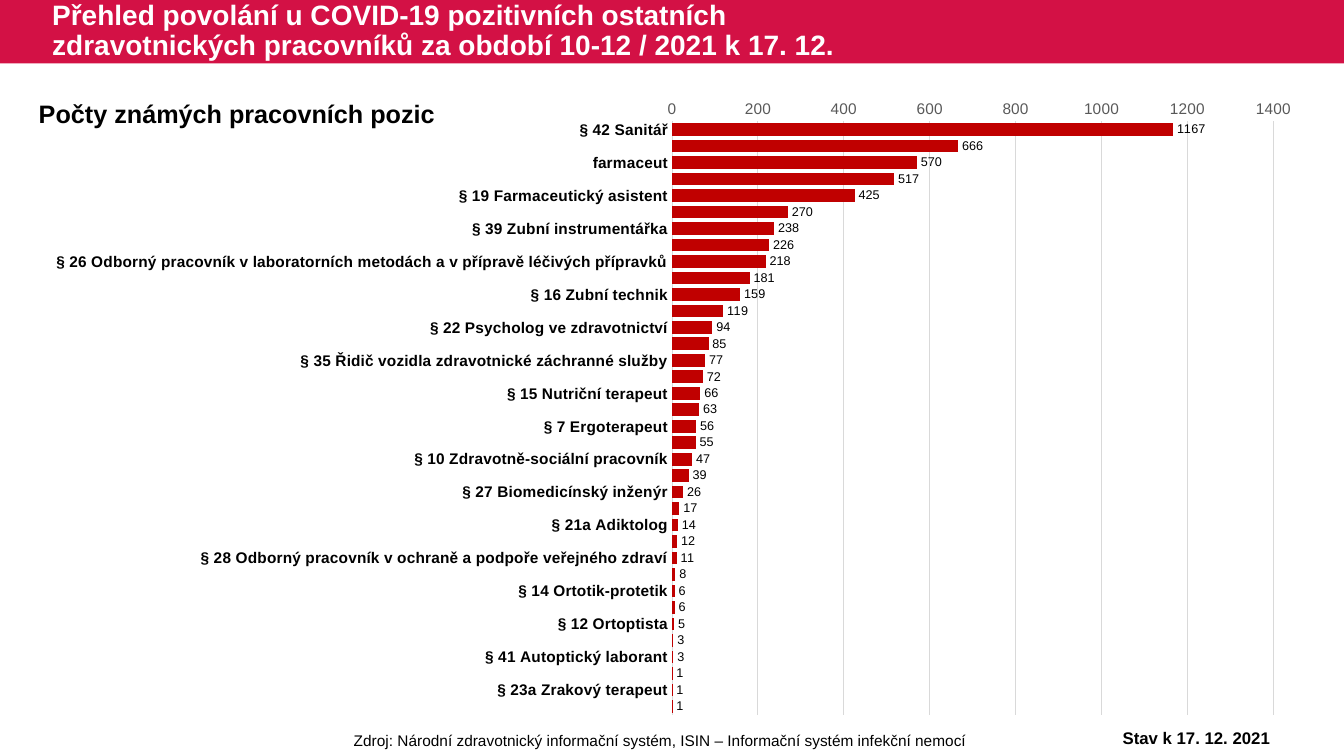
from dataclasses import dataclass

from lxml import etree
from pptx import Presentation
from pptx.chart.data import CategoryChartData
from pptx.dml.color import RGBColor
from pptx.enum.chart import XL_CHART_TYPE, XL_LABEL_POSITION, XL_TICK_MARK
from pptx.enum.shapes import MSO_SHAPE
from pptx.enum.text import MSO_ANCHOR, MSO_AUTO_SIZE, PP_ALIGN
from pptx.util import Pt

BARS = XL_CHART_TYPE.BAR_CLUSTERED
OUTSIDE = XL_LABEL_POSITION.OUTSIDE_END
NO_TICK = XL_TICK_MARK.NONE
RECT = MSO_SHAPE.RECTANGLE
MIDDLE, TOP = MSO_ANCHOR.MIDDLE, MSO_ANCHOR.TOP
GROW, FIXED = MSO_AUTO_SIZE.SHAPE_TO_FIT_TEXT, MSO_AUTO_SIZE.NONE
LEFT, CENTER = PP_ALIGN.LEFT, PP_ALIGN.CENTER

FONT = "Arial"
COLORS = {"band": "D31145", "bar": "C00000", "grid": "D9D9D9",
          "text": "000000", "scale": "595959", "title": "FFFFFF"}

JOBS = [
    ("§ 42 Sanitář", 1167),
    ("§ 24 Fyzioterapeut", 666),
    ("farmaceut", 570),
    ("§ 9 Zdravotní laborant", 517),
    ("§ 19 Farmaceutický asistent", 425),
    ("§ 36 Ošetřovatel", 270),
    ("§ 39 Zubní instrumentářka", 238),
    ("§ 18 Zdravotnický záchranář", 226),
    ("§ 26 Odborný pracovník v laboratorních metodách a v přípravě léčivých přípravků", 218),
    ("§ 8 Radiologický asistent", 181),
    ("§ 16 Zubní technik", 159),
    ("§ 40 Řidič zdravotnické dopravní služby", 119),
    ("§ 22 Psycholog ve zdravotnictví", 94),
    ("§ 17 Dentální hygienistka", 85),
    ("§ 35 Řidič vozidla zdravotnické záchranné služby", 77),
    ("§ 37 Masér ve zdravotnictví, nevidomý a slabozraký masér ve zdravotnictví", 72),
    ("§ 15 Nutriční terapeut", 66),
    ("§ 23 Logoped ve zdravotnictví", 63),
    ("§ 7 Ergoterapeut", 56),
    ("§ 11 Optometrista", 55),
    ("§ 10 Zdravotně-sociální pracovník", 47),
    ("§ 30 Laboratorní asistent", 39),
    ("§ 27 Biomedicínský inženýr", 26),
    ("§ 33 Asistent zubního technika", 17),
    ("§ 21a Adiktolog", 14),
    ("§ 25 Radiologický fyzik", 12),
    ("§ 28 Odborný pracovník v ochraně a podpoře veřejného zdraví", 11),
    ("§ 13 Asistent ochrany a podpory veřejného zdraví", 8),
    ("§ 14 Ortotik-protetik", 6),
    ("§ 20 Biomedicínský technik", 6),
    ("§ 12 Ortoptista", 5),
    ("§ 32 Nutriční asistent", 3),
    ("§ 41 Autoptický laborant", 3),
    ("§ 21 Radiologický technik", 1),
    ("§ 23a Zrakový terapeut", 1),
    ("§ 31 Ortoticko-protetický technik", 1),
]


@dataclass
class Label:
    text: str
    box: tuple
    size: int
    bold: bool = True
    color: str = "text"
    align: PP_ALIGN = LEFT
    anchor: MSO_ANCHOR = TOP
    fit: MSO_AUTO_SIZE = GROW
    wrap: bool = True
    space: float = 1.0


LABELS = [
    Label("Zdroj: Národní zdravotnický informační systém, ISIN – Informační systém infekční nemocí",
          (170, 518.4, 603.4, 20.6), 11, bold=False, align=CENTER),
    Label("Přehled povolání u COVID-19 pozitivních ostatních "
          "zdravotnických pracovníků za období 10-12 / 2021 k 17. 12.",
          (30.2, 0, 594.7, 45.4), 20, color="title", anchor=MIDDLE, fit=FIXED, space=0.9),
    Label("Počty známých pracovních pozic", (20.6, 67, 299.5, 29), 18, wrap=False),
    Label("Stav k 17. 12. 2021", (775.4, 516.2, 158.4, 21.8), 12, align=CENTER),
]


def assign(item: object, values: dict) -> None:
    for name, value in values.items():
        setattr(item, name, value)


def tint(name: str) -> RGBColor:
    return RGBColor.from_string(COLORS[name])


def style(font: object, size: int, color: str = "text", bold: bool = False) -> None:
    assign(font, {"name": FONT, "size": Pt(size), "bold": bold})
    font.color.rgb = tint(color)


def stroke(line: object) -> None:
    line.color.rgb = tint("grid")
    line.width = Pt(0.75)


def write(slide: object, label: Label) -> None:
    frame = slide.shapes.add_textbox(*map(Pt, label.box)).text_frame
    assign(frame, {"word_wrap": label.wrap, "auto_size": label.fit,
                   "vertical_anchor": label.anchor})
    para = frame.paragraphs[0]
    assign(para, {"alignment": label.align, "line_spacing": label.space})
    run = para.add_run()
    run.text = label.text
    style(run.font, label.size, label.color, label.bold)


def place(chart: object, frame: dict) -> None:
    """Pin the inner plot area to fractions of the chart."""
    area = chart.plots[0]._element.getparent()
    space = "{%s}" % area.nsmap["c"]
    for old in area.findall(space + "layout"):
        area.remove(old)
    layout = etree.Element(space + "layout")
    manual = etree.SubElement(layout, space + "manualLayout")
    modes = {"layoutTarget": "inner", "xMode": "edge", "yMode": "edge"}
    for name, value in (modes | frame).items():
        etree.SubElement(manual, space + name, val=str(value))
    area.insert(0, layout)


def graph(slide: object) -> None:
    data = CategoryChartData()
    data.categories = [job for job, count in JOBS]
    data.add_series("Počet", [count for job, count in JOBS])
    box = map(Pt, (2.9, 57.6, 933.8, 462.2))
    chart = slide.shapes.add_chart(BARS, *box, data).chart
    assign(chart, {"has_title": False, "has_legend": False})
    style(chart.font, 10)
    place(chart, {"x": 0.511, "y": 0.063, "w": 0.46, "h": 0.917})

    # Bars and counts
    plot = chart.plots[0]
    assign(plot, {"gap_width": 30, "overlap": 100,
                  "vary_by_categories": False, "has_data_labels": True})
    fill = plot.series[0].format.fill
    fill.solid()
    fill.fore_color.rgb = tint("bar")
    assign(plot.data_labels, {"show_value": True, "position": OUTSIDE})
    style(plot.data_labels.font, 9)

    # Axes
    ticks = {"major_tick_mark": NO_TICK, "minor_tick_mark": NO_TICK}
    jobs, scale = chart.category_axis, chart.value_axis
    assign(jobs, ticks | {"reverse_order": True, "has_major_gridlines": False})
    style(jobs.tick_labels.font, 11, bold=True)
    stroke(jobs.format.line)
    assign(scale, ticks | {"minimum_scale": 0, "maximum_scale": 1400,
                           "major_unit": 200, "has_major_gridlines": True})
    style(scale.tick_labels.font, 11, "scale")
    scale.format.line.fill.background()
    stroke(scale.major_gridlines.format.line)


def main() -> None:
    deck = Presentation()
    assign(deck, {"slide_width": Pt(960), "slide_height": Pt(540)})
    slide = deck.slides.add_slide(deck.slide_layouts[6])

    # Title band
    band = slide.shapes.add_shape(RECT, 0, 0, Pt(960), Pt(45.4))
    band.shadow.inherit = False
    band.fill.solid()
    band.fill.fore_color.rgb = tint("band")
    band.line.fill.background()

    # Chart and texts
    graph(slide)
    for label in LABELS:
        write(slide, label)
    deck.save("out.pptx")


if __name__ == "__main__":
    main()
